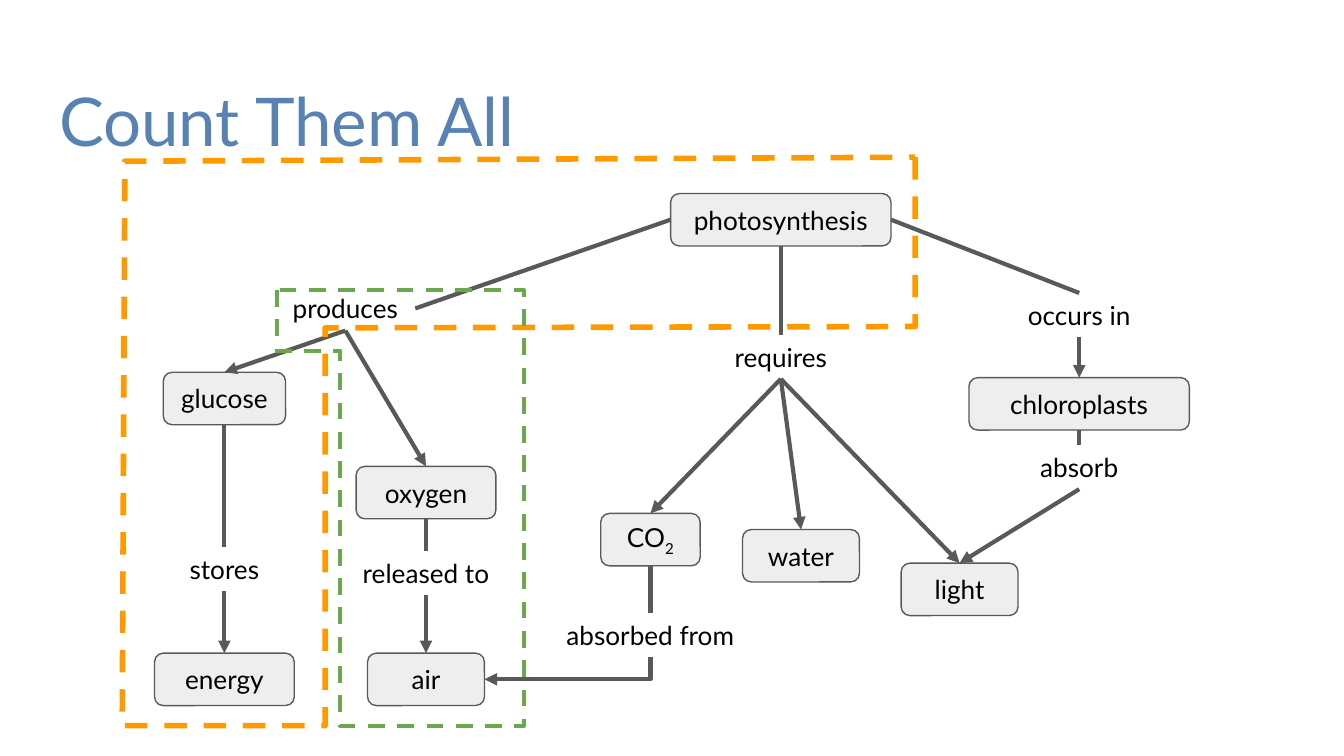
from lxml.etree import SubElement
from pptx import Presentation
from pptx.dml.color import RGBColor
from pptx.enum.dml import MSO_LINE
from pptx.enum.shapes import MSO_CONNECTOR, MSO_SHAPE
from pptx.enum.text import MSO_ANCHOR, MSO_AUTO_SIZE, PP_ALIGN
from pptx.oxml.ns import qn
from pptx.util import Inches, Pt

TITLE = "Count Them All"
COLORS = {
    "title": "5782B2", "text": "000000", "node": "EEEEEE",
    "edge": "595959", "orange": "FF9900", "green": "6AA84F",
}
SLIDE_WIDTH = 10
SLIDE_HEIGHT = SLIDE_WIDTH * 9 / 16
NODE_HEIGHT, LABEL_HEIGHT = 0.39, 0.33

# name: horizontal centre, top, width
CONCEPTS = {
    "photosynthesis": (5.81, 1.44, 1.64),
    "chloroplasts": (8.03, 2.81, 1.64),
    "light": (7.14, 4.19, 0.87),
    "water": (5.96, 3.94, 0.87),
    "CO2": (4.84, 3.82, 0.74),
    "glucose": (1.67, 2.77, 0.91),
    "oxygen": (3.17, 3.47, 1.04),
    "energy": (1.67, 4.86, 1.04),
    "air": (3.17, 4.86, 0.87),
}
RELATIONS = {
    "produces": (2.57, 2.13, 1.04),
    "requires": (5.81, 2.49, 0.91),
    "occurs in": (8.03, 2.18, 1.04),
    "stores": (1.67, 4.07, 1.04),
    "released to": (3.17, 4.1, 1.21),
    "absorbed from": (4.84, 4.56, 1.56),
    "absorb": (8.03, 3.31, 0.91),
}
SUBSCRIPTED = {"CO2": ("CO", "2")}

# Connection sites of a rectangle
TOP, LEFT, BOTTOM, RIGHT = range(4)
# An edge that ends in a concept gets an arrowhead
EDGES = [
    ("photosynthesis", BOTTOM, "requires", TOP),
    ("requires", BOTTOM, "water", TOP),
    ("requires", BOTTOM, "CO2", TOP),
    ("requires", BOTTOM, "light", TOP),
    ("oxygen", BOTTOM, "released to", TOP),
    ("released to", BOTTOM, "air", TOP),
    ("CO2", BOTTOM, "absorbed from", TOP),
    ("photosynthesis", RIGHT, "occurs in", TOP),
    ("occurs in", BOTTOM, "chloroplasts", TOP),
    ("chloroplasts", BOTTOM, "absorb", TOP),
    ("absorb", BOTTOM, "light", TOP),
    ("glucose", BOTTOM, "stores", TOP),
    ("stores", BOTTOM, "energy", TOP),
    ("produces", BOTTOM, "oxygen", TOP),
    ("photosynthesis", LEFT, "produces", RIGHT),
    ("produces", BOTTOM, "glucose", TOP),
    ("absorbed from", BOTTOM, "air", RIGHT),
]
# colour, line width, corners
OUTLINES = [
    ("orange", 3, [(6.81, 1.17), (6.81, 2.43), (2.42, 2.44),
                   (2.42, 5.4), (0.91, 5.4), (0.93, 1.2)]),
    ("green", 2.25, [(2.06, 2.16), (2.06, 2.61), (2.53, 2.61),
                     (2.53, 5.4), (3.9, 5.4), (3.9, 2.16)]),
]


def color(name):
    return RGBColor.from_string(COLORS[name])


def set_text(shape, text, subscript="", size=14, fill="text",
             align=PP_ALIGN.CENTER, anchor=MSO_ANCHOR.MIDDLE):
    frame = shape.text_frame
    frame.word_wrap = True
    frame.auto_size = MSO_AUTO_SIZE.NONE
    frame.vertical_anchor = anchor
    frame.margin_left = frame.margin_right = Inches(0.1)
    frame.margin_top = frame.margin_bottom = Inches(0.1)
    paragraph = frame.paragraphs[0]
    paragraph.alignment = align
    for part, baseline in ((text, None), (subscript, "-25000")):
        if not part:
            continue
        run = paragraph.add_run()
        run.text = part
        run.font.name = "Lato"
        run.font.size = Pt(size)
        run.font.color.rgb = color(fill)
        if baseline:
            run.font._element.set("baseline", baseline)


def set_line(shape, name, width):
    shape.line.color.rgb = color(name)
    shape.line.width = Pt(width)


def bend_once(connector):
    """Turn a connector into one corner: straight down, then left."""
    drop = connector.end_y - connector.begin_y
    run = connector.begin_x - connector.end_x
    center_x = (connector.begin_x + connector.end_x) // 2
    center_y = (connector.begin_y + connector.end_y) // 2
    properties = connector._element.spPr
    properties.find(qn("a:prstGeom")).set("prst", "bentConnector2")
    transform = properties.find(qn("a:xfrm"))
    transform.attrib.pop("flipH", None)
    transform.set("rot", str(90 * 60000))
    connector.left, connector.top = center_x - drop // 2, center_y - run // 2
    connector.width, connector.height = drop, run


def box(center, top, width, height):
    """Left, top, width and height of a box centred on a column."""
    return Inches(center - width / 2), Inches(top), Inches(width), Inches(height)


def add_concept(shapes, name, place):
    node = shapes.add_shape(MSO_SHAPE.ROUNDED_RECTANGLE, *box(*place, NODE_HEIGHT))
    node.shadow.inherit = False
    node.fill.solid()
    node.fill.fore_color.rgb = color("node")
    set_line(node, "edge", 0.75)
    set_text(node, *SUBSCRIPTED.get(name, (name,)))
    return node


def add_relation(shapes, name, place):
    label = shapes.add_textbox(*box(*place, LABEL_HEIGHT))
    set_text(label, name)
    return label


def add_edge(shapes, start, start_site, end, end_site, arrow):
    bent = arrow and end_site == RIGHT
    kind = MSO_CONNECTOR.ELBOW if bent else MSO_CONNECTOR.STRAIGHT
    edge = shapes.add_connector(kind, 0, 0, 0, 0)
    edge.begin_connect(start, start_site)
    edge.end_connect(end, end_site)
    if bent:
        bend_once(edge)
    set_line(edge, "edge", 2.25)
    if arrow:
        SubElement(edge.line._get_or_add_ln(), qn("a:tailEnd"), type="triangle")
    SubElement(edge._element.spPr, qn("a:effectLst"))


def add_outline(shapes, name, width, corners):
    points = [(Inches(x), Inches(y)) for x, y in corners]
    builder = shapes.build_freeform(*points[0])
    builder.add_line_segments(points[1:], close=True)
    outline = builder.convert_to_shape()
    outline.shadow.inherit = False
    outline.fill.background()
    set_line(outline, name, width)
    outline.line.dash_style = MSO_LINE.DASH


def main():
    deck = Presentation()
    deck.slide_width = Inches(SLIDE_WIDTH)
    deck.slide_height = Inches(SLIDE_HEIGHT)
    slide = deck.slides.add_slide(deck.slide_layouts[5])
    shapes = slide.shapes

    title = shapes.title
    title.left, title.top = Inches(0.34), Inches(0.49)
    title.width, title.height = Inches(9.32), Inches(0.77)
    set_text(title, TITLE, size=36, fill="title",
             align=PP_ALIGN.LEFT, anchor=MSO_ANCHOR.TOP)

    nodes = {name: add_concept(shapes, name, place)
             for name, place in CONCEPTS.items()}
    nodes |= {name: add_relation(shapes, name, place)
              for name, place in RELATIONS.items()}
    for start, start_site, end, end_site in EDGES:
        add_edge(shapes, nodes[start], start_site, nodes[end], end_site,
                 arrow=end in CONCEPTS)
    for outline in OUTLINES:
        add_outline(shapes, *outline)

    deck.save("out.pptx")


if __name__ == "__main__":
    main()
